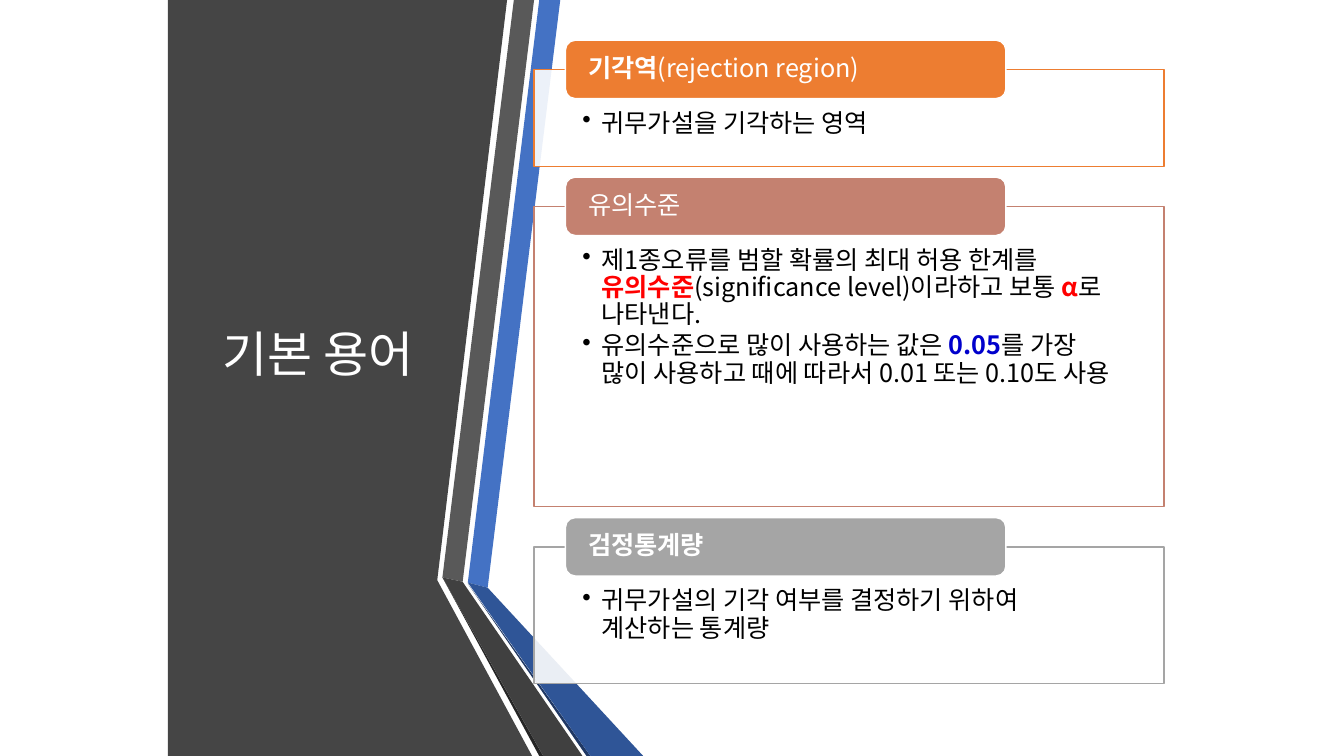
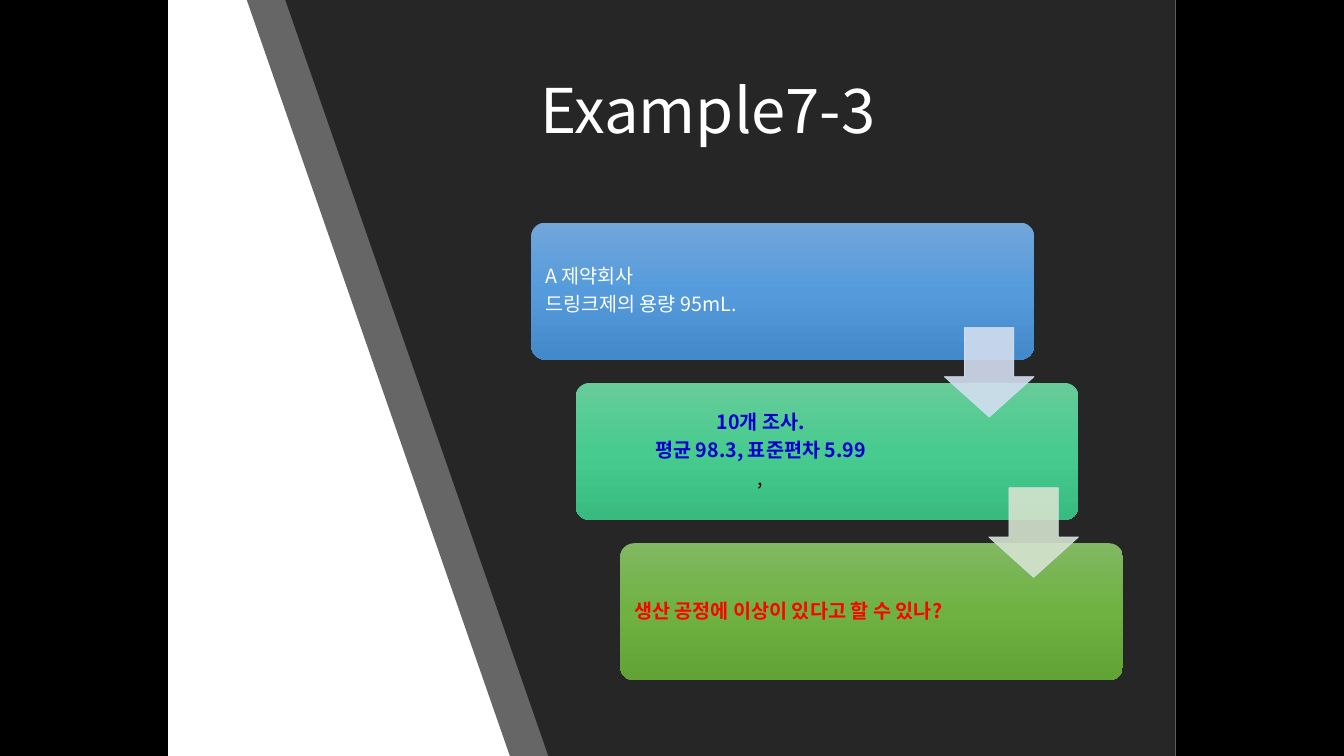
import copy

import pptx
import pptx.dml.color
import pptx.enum.shapes
import pptx.enum.text
import pptx.oxml
import pptx.oxml.ns
import pptx.util

Cm, Pt = pptx.util.Cm, pptx.util.Pt
RGB = pptx.dml.color.RGBColor.from_string
SHAPE = pptx.enum.shapes.MSO_SHAPE
ALIGN = pptx.enum.text.PP_ALIGN
ANCHOR = pptx.enum.text.MSO_ANCHOR
qn = pptx.oxml.ns.qn

FONT = "Noto Sans CJK KR"
COLORS = {
    "white": "FFFFFF", "black": "000000", "red": "FF0000", "navy": "0000CC",
    "panel": "454545", "grey band": "595959", "grey fold": "404040",
    "dark": "262626", "blue band": "4472C4", "blue fold": "2F5597",
    "blue edge": "203864", "orange": "ED7D31", "rose": "C48170",
    "silver": "A5A5A5", "ice": "D2DEEF", "sage": "D5E3CF",
}


def paint(shape, fill, opacity=100, line=None, weight=1):
    """Give the shape a flat fill, an optional outline and no shadow."""
    shape.shadow.inherit = False
    shape.fill.solid()
    shape.fill.fore_color.rgb = RGB(COLORS[fill])
    if opacity < 100:
        color = shape.element.spPr.find(qn("a:solidFill"))[0]
        pptx.oxml.parse_xml(
            '<a:alpha xmlns:a="http://schemas.openxmlformats.org/drawingml/2006/main"/>')
        alpha = color.makeelement(qn("a:alpha"), {"val": str(opacity * 1000)})
        color.append(alpha)
    if line:
        shape.line.color.rgb = RGB(COLORS[line])
        shape.line.width = Pt(weight)
    else:
        shape.line.fill.background()


def write(frame, paragraphs, size, margins, after=0, anchor=ANCHOR.MIDDLE,
          align=ALIGN.LEFT, bulleted=False):
    """Fill the frame; a paragraph is a list of (text, colour, bold) runs."""
    frame.word_wrap = True
    frame.auto_size = pptx.enum.text.MSO_AUTO_SIZE.NONE
    frame.vertical_anchor = anchor
    (frame.margin_left, frame.margin_top,
     frame.margin_right, frame.margin_bottom) = [Cm(m) for m in margins]
    for index, runs in enumerate(paragraphs):
        paragraph = frame.add_paragraph() if index else frame.paragraphs[0]
        paragraph.alignment = align
        paragraph.line_spacing = 0.9
        paragraph.space_before = Pt(0)
        paragraph.space_after = Pt(after)
        if bulleted:
            properties = paragraph._p.get_or_add_pPr()
            properties.set("marL", str(Cm(0.48)))
            properties.set("indent", str(-Cm(0.48)))
            properties.append(properties.makeelement(qn("a:buChar"), {"char": "•"}))
        for text, color, bold in runs:
            run = paragraph.add_run()
            run.text = text
            run.font.name = FONT
            run.font.size = Pt(size)
            run.font.bold = bold
            run.font.color.rgb = RGB(COLORS[color])
            properties = run._r.get_or_add_rPr()
            properties.append(properties.makeelement(qn("a:ea"), {"typeface": FONT}))


deck = pptx.Presentation()
deck.slide_width, deck.slide_height = Cm(33.87), Cm(19.05)
BOTTOM = 19.05

# Backdrops and titles
terms_backdrop = [
    ("panel", 100, [(10.95, 0), (12.78, 0), (11.02, 14.62), (13.41, BOTTOM),
                    (4.23, BOTTOM), (4.23, 0)]),
    ("blue band", 100, [(11.79, 14.68), (12.29, 14.81), (14.12, 0), (13.59, 0)]),
    ("grey band", 100, [(13.46, 0), (12.95, 0), (11.15, 14.55), (11.66, 14.66)]),
    ("dark", 100, [(11.15, 14.55), (13.59, BOTTOM), (13.69, BOTTOM)]),
    ("blue edge", 100, [(11.79, 14.71), (14.78, BOTTOM), (14.88, BOTTOM)]),
    ("blue fold", 100, [(11.79, 14.68), (14.88, BOTTOM), (16.21, BOTTOM),
                        (12.29, 14.81)]),
    ("grey fold", 100, [(14.68, BOTTOM), (11.76, 14.81), (11.66, 14.66),
                        (11.15, 14.55), (13.69, BOTTOM)]),
]
example_backdrop = [
    ("white", 100, [(4.23, 0), (29.63, 0), (29.63, BOTTOM), (4.23, BOTTOM)]),
    ("dark", 70, [(29.62, BOTTOM), (12.85, BOTTOM), (6.22, 0), (29.62, 0)]),
    ("dark", 100, [(29.63, BOTTOM), (13.82, BOTTOM), (7.19, 0), (29.63, 0)]),
]
slides = []
for background, backdrop, heading, size, place in [
    ("white", terms_backdrop, "기본 용어", 35, (5.36, 1.9, 5.79, 14.17)),
    ("black", example_backdrop, "Example7-3", 44, (13.36, 1.02, 14.94, 3.68)),
]:
    slide = deck.slides.add_slide(deck.slide_layouts[5])
    slides.append(slide)
    slide.background.fill.solid()
    slide.background.fill.fore_color.rgb = RGB(COLORS[background])
    for color, opacity, corners in backdrop:
        points = [(Cm(x), Cm(y)) for x, y in corners]
        outline = slide.shapes.build_freeform(*points[0])
        outline.add_line_segments(points[1:], close=True)
        paint(outline.convert_to_shape(), color, opacity)
    title = slide.shapes.title
    title.left, title.top, title.width, title.height = [Cm(v) for v in place]
    write(title.text_frame, [[(heading, "white", False)]], size,
          (0.25, 0.13, 0.25, 0.13))
    title.element.getparent().append(title.element)  # in front of the backdrop

terms, example = slides

# Terms: outlined panels, each with a header tab over its top edge
definitions = [
    ("orange", 2.44,
     [("기각역", "white", True), ("(rejection region)", "white", False)],
     [[("귀무가설을 기각하는 영역", "black", False)]]),
    ("rose", 7.57,
     [("유의수준", "white", False)],
     [[("제1종오류를 범할 확률의 최대 허용 한계를 ", "black", False),
       ("유의수준", "red", True),
       ("(significance level)이라하고 보통 ", "black", False),
       ("α", "red", True),
       ("로 나타낸다.", "black", False)],
      [("유의수준으로 많이 사용하는 값은 ", "black", False),
       ("0.05", "navy", True),
       ("를 가장 많이 사용하고 때에 따라서 0.01 또는 0.10도 사용", "black", False)]]),
    ("silver", 3.45,
     [("검정통계량", "white", True)],
     [[("귀무가설의 기각 여부를 결정하기 위하여 계산하는 통계량", "black", False)]]),
]
panel_top, panel_gap, tab_height = 1.75, 1.01, 1.47
for color, height, term, meaning in definitions:
    panel = terms.shapes.add_shape(
        SHAPE.RECTANGLE, Cm(13.46), Cm(panel_top), Cm(15.88), Cm(height))
    paint(panel, "white", 90, color)
    write(panel.text_frame, meaning, 18, (1.22, 1.04, 1.22, 0.36), after=2.7,
          anchor=ANCHOR.TOP, bulleted=True)
    tab = terms.shapes.add_shape(
        SHAPE.ROUNDED_RECTANGLE, Cm(14.25), Cm(panel_top - tab_height / 2),
        Cm(11.1), Cm(tab_height))
    paint(tab, color, line="white")
    write(tab.text_frame, [term], 18, (0.5, 0, 0.5, 0))
    panel_top += height + panel_gap

# Example: three stepped cards joined by arrows
steps = [
    (("71A6DB", "559BDB", "448ACA"), ALIGN.LEFT,
     [[("A 제약회사", "white", False)],
      [("드링크제의 용량 95mL.", "white", False)]]),
    (("67CC9A", "47CB8E", "39BB7F"), ALIGN.CENTER,
     [[("10개 조사.", "navy", True)],
      [("평균 98.3, 표준편차 5.99", "navy", True)],
      [(",", "black", False)]]),
    (("81B861", "6FB242", "62A336"), ALIGN.LEFT,
     [[("생산 공정에 이상이 있다고 할 수 있나?", "red", True)]]),
]
card_left, card_top, step_x, step_y = 13.39, 5.61, 1.12, 4.04
for index, (shades, align, lines) in enumerate(steps):
    card = example.shapes.add_shape(
        SHAPE.ROUNDED_RECTANGLE, Cm(card_left + index * step_x),
        Cm(card_top + index * step_y), Cm(12.67), Cm(3.45))
    card.adjustments[0] = 0.1
    card.shadow.inherit = False
    card.line.fill.background()
    card.fill.gradient()
    card.fill.gradient_angle = 270
    first_stop = next(card.element.iter(qn("a:gs")))
    first_stop.addnext(copy.deepcopy(first_stop))
    for stop, position, shade in zip(card.fill.gradient_stops, (0, 0.5, 1), shades):
        stop.position = position
        stop.color.rgb = RGB(shade)
    write(card.text_frame, lines, 14, (0.25, 0.25, 3.6, 0.25), after=4.9, align=align)

for index, color in enumerate(("ice", "sage")):
    arrow = example.shapes.add_shape(
        SHAPE.DOWN_ARROW, Cm(card_left + 10.41 + index * step_x),
        Cm(card_top + 2.64 + index * step_y), Cm(2.26), Cm(2.26))
    arrow.adjustments[0], arrow.adjustments[1] = 0.55, 0.45
    paint(arrow, color, 90, "ice", 0.5)

deck.save("out.pptx")
